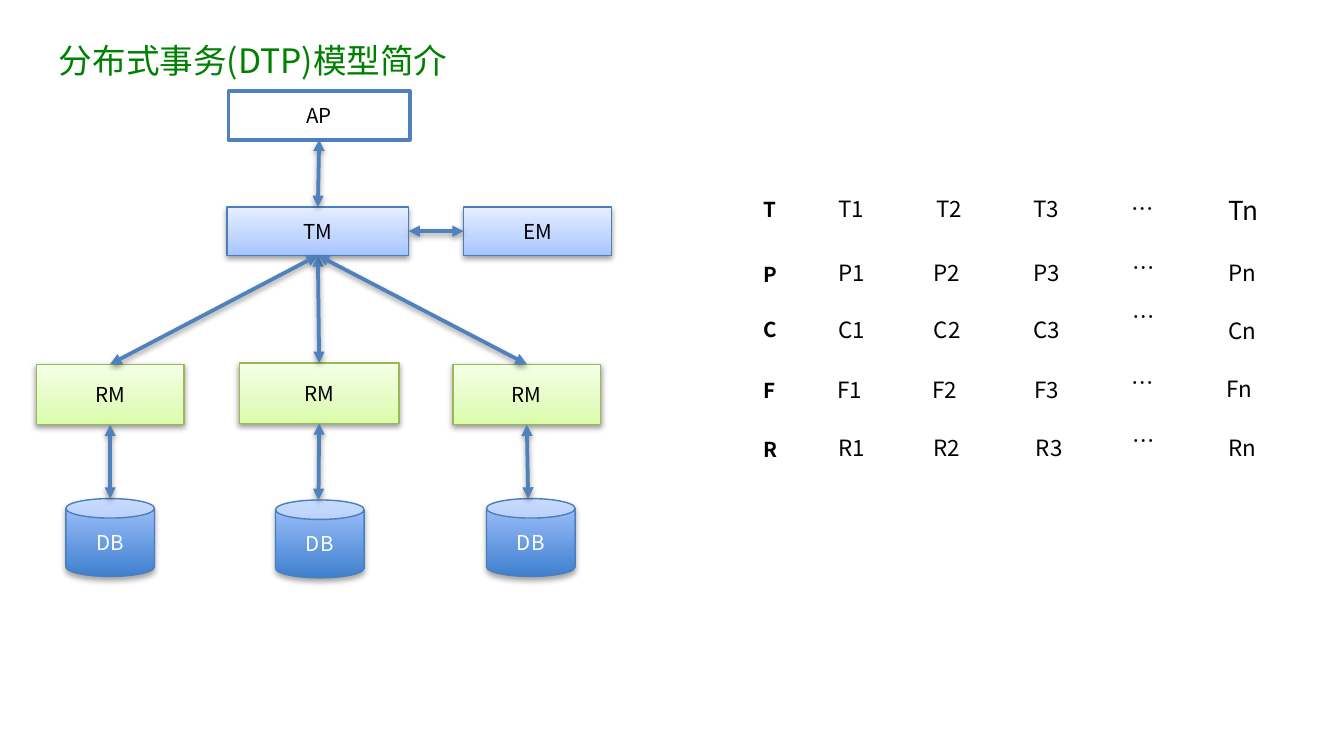
from dataclasses import dataclass

from lxml import etree
from pptx import Presentation
from pptx import util as u
from pptx.dml.color import RGBColor
from pptx.enum import shapes, text
from pptx.oxml import ns


@dataclass(frozen=True)
class Theme:
    font: str = "Noto Sans CJK SC"
    title: str = "008000"
    ink: str = "000000"
    paper: str = "FFFFFF"
    accent: str = "4F81BD"
    blue_edge: str = "4B7EBC"
    green_edge: str = "98B955"
    blue: tuple = ((0, "A4C4FF"), (35, "BFD4FF"), (100, "E6EEFF"))
    green: tuple = ((0, "DAFDA7"), (35, "E4FCC2"), (100, "F5FFE7"))
    database: tuple = ((0, "3F80CE"), (100, "A4C4FF"))
    title_size: float = 18
    node_size: float = 11
    cell_size: float = 12
    large_size: float = 14
    thin: float = 0.75
    thick: float = 2


THEME = Theme()
RECT = shapes.MSO_SHAPE.RECTANGLE
CAN = shapes.MSO_SHAPE.CAN
TOP, LEFT, BOTTOM, RIGHT = range(4)


def rgb(value):
    return RGBColor.from_string(value)


def child(parent, tag, **attributes):
    return etree.SubElement(parent, ns.qn(tag), attributes)


def write(frame, words, size, color, bold=False, align=None):
    paragraph = frame.paragraphs[0]
    paragraph.alignment = align
    run = paragraph.add_run()
    run.text = words
    run.font.size = u.Pt(size)
    run.font.bold = bold
    run.font.name = THEME.font
    run.font.color.rgb = rgb(color)
    child(run.font._element, "a:ea", typeface=THEME.font)


def cast_shadow(effects, opacity=38, distance=1.6):
    shadow = child(effects, "a:outerShdw", blurRad=str(u.Pt(3.1)),
                   dist=str(u.Pt(distance)), dir="5400000", rotWithShape="0")
    color = child(shadow, "a:srgbClr", val=THEME.ink)
    child(color, "a:alpha", val=str(opacity * 1000))


def shade(node, stops):
    node.fill.gradient()
    node.fill.gradient_angle = 90
    stop_list = node._element.spPr.find(".//" + ns.qn("a:gsLst"))
    for stop in list(stop_list):
        stop_list.remove(stop)
    for position, color in stops:
        stop = child(stop_list, "a:gs", pos=str(position * 1000))
        child(stop, "a:srgbClr", val=color)


def add_node(slide, box, label, edge, stops=None, kind=RECT, ink=THEME.ink):
    node = slide.shapes.add_shape(kind, *map(u.Inches, box))
    node.line.color.rgb = rgb(edge)
    node.line.width = u.Pt(THEME.thin if stops else THEME.thick)
    node.shadow.inherit = False
    if stops:
        shade(node, stops)
        effects = node._element.spPr.find(ns.qn("a:effectLst"))
        cast_shadow(effects, *((35, 1.8) if kind == CAN else ()))
    else:
        node.fill.solid()
        node.fill.fore_color.rgb = rgb(THEME.paper)
    node.text_frame.vertical_anchor = text.MSO_ANCHOR.MIDDLE
    write(node.text_frame, label, THEME.node_size, ink, align=text.PP_ALIGN.CENTER)
    return node


def add_link(slide, start, start_side, end, end_side, end_shift=0):
    link = slide.shapes.add_connector(
        shapes.MSO_CONNECTOR.STRAIGHT, start.left + start.width // 2, start.top + start.height,
        end.left + end.width // 2 + u.Inches(end_shift), end.top)
    link.begin_connect(start, start_side)
    if end.auto_shape_type == RECT:
        link.end_connect(end, end_side)
    link.line.color.rgb = rgb(THEME.accent)
    link.line.width = u.Pt(THEME.thick)
    line = link._element.spPr.find(ns.qn("a:ln"))
    child(line, "a:headEnd", type="triangle")
    child(line, "a:tailEnd", type="triangle")
    cast_shadow(child(link._element.spPr, "a:effectLst"))


def add_text(slide, box, words, size, color, bold=False):
    label = slide.shapes.add_textbox(*map(u.Inches, box))
    label.text_frame.word_wrap = True
    write(label.text_frame, words, size, color, bold)
    return label.text_frame


def add_title(slide, box):
    frame = add_text(slide, box, "分布式事务(DTP)模型简介", THEME.title_size, THEME.title)
    frame.vertical_anchor = text.MSO_ANCHOR.MIDDLE


def add_model_diagram(slide, box):
    x, y = box

    def place(left, top, width, height, *look, **options):
        return add_node(slide, (x + left, y + top, width, height), *look, **options)

    manager = place(1.42, 0.86, 1.35, 0.36, "TM", THEME.blue_edge, THEME.blue)
    application = place(1.43, 0, 1.35, 0.36, "AP", THEME.accent)
    events = place(3.18, 0.86, 1.1, 0.36, "EM", THEME.blue_edge, THEME.blue)

    branches = []
    for left, top, width, can_left, can_top, shift in (
        (0, 2.03, 1.1, 0.22, 3.03, 0),
        (1.51, 2.02, 1.19, 1.78, 3.04, -0.01),
        (3.1, 2.03, 1.1, 3.35, 3.03, -0.02),
    ):
        resource = place(left, top, width, 0.45, "RM", THEME.green_edge, THEME.green)
        database = place(can_left, can_top, 0.66, 0.58, "DB", THEME.blue_edge,
                         THEME.database, kind=CAN, ink=THEME.paper)
        branches.append((resource, database, shift))

    add_link(slide, application, BOTTOM, manager, TOP)
    add_link(slide, manager, RIGHT, events, LEFT)
    for resource, database, shift in branches:
        add_link(slide, manager, BOTTOM, resource, TOP)
        add_link(slide, resource, BOTTOM, database, TOP, shift)


def add_sequence_grid(slide, box):
    x, y = box
    columns = (("1", 0.56), ("2", 1.27), ("3", 2.01), ("…", 2.75), ("n", 3.46))
    rows = (("T", 0, 0), ("P", 0.48, 0.44), ("C", 0.9, 0.81),
            ("F", 1.35, 1.3), ("R", 1.78, 1.73))
    nudges = {"T2": (0.02, 0), "T…": (-0.01, 0), "Cn": (0, 0.01),
              "F1": (-0.01, 0), "F2": (-0.01, 0), "F3": (0.01, 0),
              "F…": (-0.01, 0), "Fn": (-0.01, -0.01), "R3": (0.02, 0)}
    for letter, top, dots_top in rows:
        label_top = top + (0.01 if letter in "CF" else 0.02)
        cells = [(letter, 0, label_top, 0.77, 0.29, THEME.node_size)]
        for suffix, left in columns:
            dx, dy = nudges.get(letter + suffix, (0, 0))
            dots = suffix == "…"
            large = letter + suffix == "Tn"
            cells.append((suffix if dots else letter + suffix,
                          left + dx, (dots_top if dots else top) + dy,
                          0.79 if dots or letter == "T" else 0.56,
                          0.34 if large else 0.3,
                          THEME.large_size if large else THEME.cell_size))
        for words, left, cell_top, width, height, size in cells:
            frame = add_text(slide, (x + left, y + cell_top, width, height),
                             words, size, THEME.ink, bold=words == letter)
            frame.auto_size = text.MSO_AUTO_SIZE.SHAPE_TO_FIT_TEXT


def main():
    deck = Presentation()
    deck.slide_width = u.Inches(10)
    deck.slide_height = deck.slide_width * 9 // 16
    slide = deck.slides.add_slide(deck.slide_layouts[6])
    add_title(slide, (0.34, 0.23, 9, 0.43))
    add_model_diagram(slide, (0.27, 0.68))
    add_sequence_grid(slide, (5.58, 1.4))
    deck.save("out.pptx")


if __name__ == "__main__":
    main()
